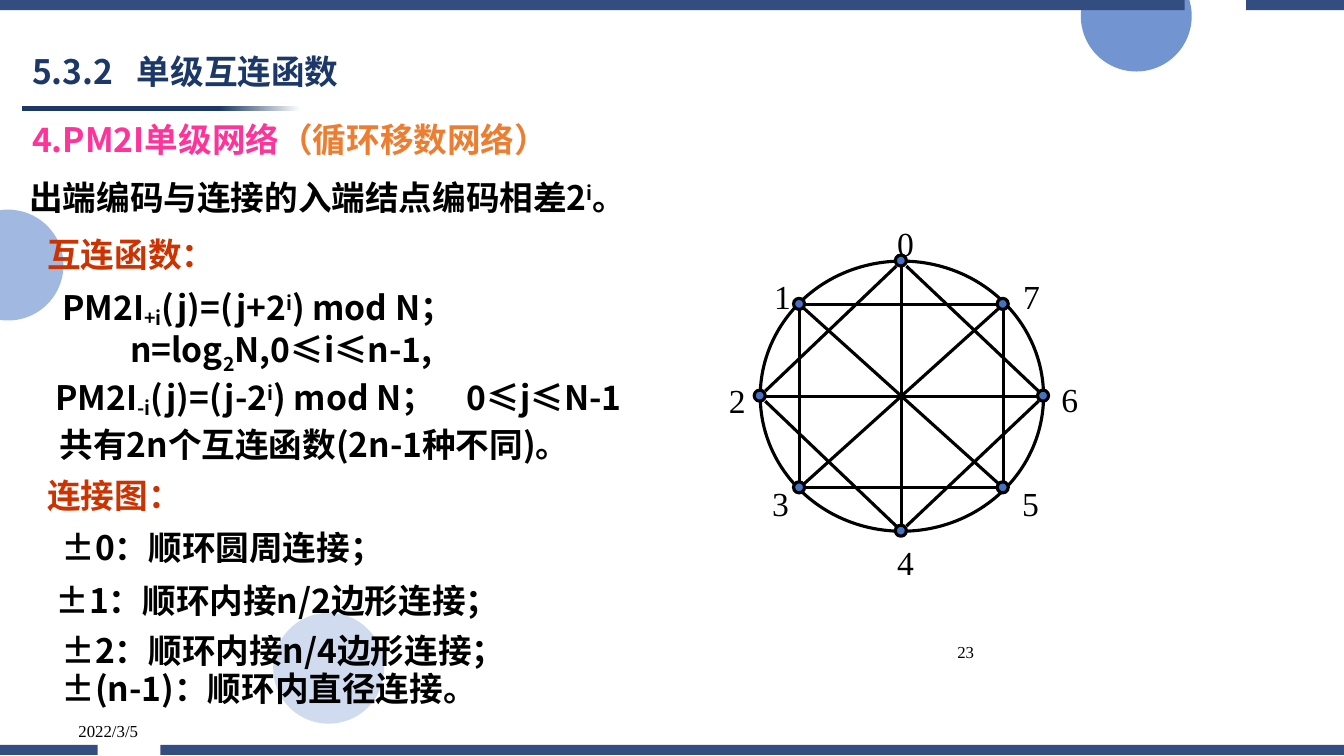
from lxml import etree
from pptx import Presentation
from pptx.dml.color import RGBColor as RGB
from pptx.enum.shapes import MSO_CONNECTOR as CONN, MSO_SHAPE as SHAPE
from pptx.enum.text import MSO_ANCHOR as ANCHOR, MSO_AUTO_SIZE as FIT, PP_ALIGN as ALIGN
from pptx.oxml.ns import qn
from pptx.util import Pt

PX = 9144  # EMU per px, 100 px to the inch
COLORS = {
    "ink": "000000", "navy": "1B3868", "bar": "334D80", "blue": "4472C4",
    "pink": "FF3399", "orange": "ED7D31", "red": "CC3300", "white": "FFFFFF",
}
SANS, SERIF = "Noto Sans CJK SC", "Times New Roman"
SUP, SUB, LOW = 30, -25, -14


def rgb(name):
    return RGB.from_string(COLORS[name])


def add_run(p, text, size=24, font=SANS, color="ink", bold=True, base=0):
    """Add one formatted run to a paragraph."""
    r = p.add_run()
    r.text = text
    f = r.font
    f.size, f.name, f.bold = Pt(size), font, bold
    f.color.rgb = rgb(color)
    rPr = r._r.get_or_add_rPr()
    if base:
        rPr.set("baseline", str(base * 1000))
    etree.SubElement(rPr, qn("a:ea")).set("typeface", font)


class Canvas:
    def __init__(self, slide):
        self.shapes = slide.shapes

    def text(self, x, y, w, h, *paras, inset=0, indents=(), tab=None, align=None,
             anchor=ANCHOR.TOP, wrap=True, grow=True, spacing=None, **fmt):
        """Each paragraph is a string or a list of strings and (text, format) pairs."""
        tf = self.shapes.add_textbox(x * PX, y * PX, w * PX, h * PX).text_frame
        tf.word_wrap, tf.vertical_anchor = wrap, anchor
        tf.auto_size = FIT.SHAPE_TO_FIT_TEXT if grow else FIT.NONE
        tf.margin_left = (10 + inset) * PX
        for i, runs in enumerate(paras):
            p = tf.add_paragraph() if i else tf.paragraphs[0]
            pPr = p._p.get_or_add_pPr()
            if i < len(indents):
                pPr.set("marL", str(indents[i] * PX))
            if tab:
                tabs = etree.SubElement(pPr, qn("a:tabLst"))
                etree.SubElement(tabs, qn("a:tab"), pos=str(tab * PX), algn="l")
            p.alignment, p.line_spacing = align, spacing
            for run in [runs] if isinstance(runs, str) else runs:
                words, extra = (run, {}) if isinstance(run, str) else run
                add_run(p, words, **{**fmt, **extra})

    def shape(self, kind, x, y, w, h, fill=None, alpha=None, line=None):
        sp = self.shapes.add_shape(kind, x * PX, y * PX, w * PX, h * PX)
        self.paint(sp, fill, line)
        if alpha:
            clr = sp.fill._xPr.find(qn("a:solidFill"))[0]
            etree.SubElement(clr, qn("a:alpha")).set("val", str(alpha * 1000))
        return sp

    def paint(self, sp, fill, line=None):
        sp.shadow.inherit = False
        if fill:
            sp.fill.solid()
            sp.fill.fore_color.rgb = rgb(fill)
        else:
            sp.fill.background()
        if line:
            sp.line.color.rgb, sp.line.width = rgb(line), Pt(2.25)
        else:
            sp.line.fill.background()

    def bar(self, y, *spans, h=10):
        """Horizontal band broken into spans, as one outline."""
        fb = self.shapes.build_freeform(spans[0][0], y, scale=PX)
        for i, (x1, x2) in enumerate(spans):
            if i:
                fb.move_to(x1, y)
            fb.add_line_segments([(x2, y), (x2, y + h), (x1, y + h)], close=True)
        self.paint(fb.convert_to_shape(), "bar")

    def line(self, a, b):
        c = self.shapes.add_connector(CONN.STRAIGHT, *(v * PX for v in (*a, *b)))
        c.line.color.rgb, c.line.width = rgb("ink"), Pt(2.25)
        etree.SubElement(c._element.spPr, qn("a:effectLst"))


def toward(a, b, gap):
    """Point a moved by gap on each axis in the direction of b."""
    return tuple(u + gap * ((v > u) - (v < u)) for u, v in zip(a, b))


def main():
    prs = Presentation()
    prs.slide_width, prs.slide_height = 1333 * PX, 750 * PX
    s = Canvas(prs.slides.add_slide(prs.slide_layouts[6]))

    # Background circles, bars and title rule
    for x, y, alpha in [(271, 608, 25), (-47, 208, 50), (1072, -39, 75)]:
        s.shape(SHAPE.OVAL, x, y, 110, 110, "blue", alpha)
    rule = s.shape(SHAPE.RECTANGLE, 22, 105, 276, 5, "navy")
    rule.fill.gradient()
    rule.fill.gradient_angle = 0
    for stop, pos, color in zip(rule.fill.gradient_stops, (0.71, 1), ("navy", "white")):
        stop.position, stop.color.rgb = pos, rgb(color)
    s.bar(739, (159, 1333), (0, 97))
    s.bar(0, (0, 1175), (1236, 1333))

    # Title, date and page number
    s.text(22, 45, 474, 56, "5.3.2\t单级互连函数", tab=104, color="navy",
           anchor=ANCHOR.MIDDLE, grow=False, spacing=0.9)
    footer = dict(size=12, font=SERIF, bold=False, anchor=ANCHOR.MIDDLE, grow=False)
    s.text(68, 700, 208, 50, "2022/3/5", **footer)
    s.text(768, 622, 208, 50, "23", align=ALIGN.RIGHT, **footer)

    # Definition and interconnection functions
    sup, sub = ("i", {"base": SUP}), ("2", {"base": SUB})
    s.text(22, 113, 950, 50,
           ["4.PM2I单级网络", ("（循环移数网络）", {"color": "orange"})], color="pink")
    s.text(4, 171, 950, 50, ["出端编码与连接的入端结点编码相差2", sup, "。"], inset=15)
    s.text(22, 227, 554, 50, "互连函数：", inset=15, color="red")
    s.text(22, 280, 950, 91,
           ["PM2I", ("+i", {"base": LOW}), "(j)=(j+2", sup, ") mod N；"],
           ["n=log", sub, "N,0≤i≤n-1,"], inset=30, indents=(0, 67))
    s.text(15, 369, 950, 50,
           ["PM2I", ("-i", {"base": LOW}), "(j)=(j-2", sup, ") mod N；\t0≤j≤N-1"],
           inset=30, tab=408)
    s.text(19, 416, 950, 50, "共有2n个互连函数(2n-1种不同)。", inset=30)

    # Connection rules
    s.text(22, 466, 206, 50, "连接图：", inset=15, color="red")
    for x, y, rule_text in [
        (21, 518, "±0：顺环圆周连接；"),
        (15, 570, "±1：顺环内接n/2边形连接；"),
        (21, 620, "±2：顺环内接n/4边形连接；"),
        (21, 658, "±(n-1)：顺环内直径连接。"),
    ]:
        s.text(x, y, 633, 50, rule_text, inset=30)

    # Ring of eight nodes with chords of step 2 and diameters
    nodes = [(894, 259), (793, 302), (754, 393), (793, 484),
             (894, 527), (995, 484), (1035, 393), (995, 302)]
    labels = [(880, 216), (758, 269), (713, 372), (756, 474),
              (880, 533), (1004, 474), (1043, 371), (1005, 269)]
    s.shape(SHAPE.OVAL, 754, 259, 281, 268, line="ink")
    for i, a in enumerate(nodes):
        b = nodes[(i + 2) % 8]
        s.line(toward(a, b, 5), toward(b, a, 5))
    for a, b in zip(nodes[:4], nodes[4:]):
        s.line(a, b)
    for i, ((cx, cy), (x, y)) in enumerate(zip(nodes, labels)):
        s.shape(SHAPE.OVAL, cx - 6, cy - 6, 11, 11, "blue", line="ink")
        s.text(x, y, 37, 51, str(i), font=SERIF, bold=False, wrap=False)

    prs.save("out.pptx")


if __name__ == "__main__":
    main()
